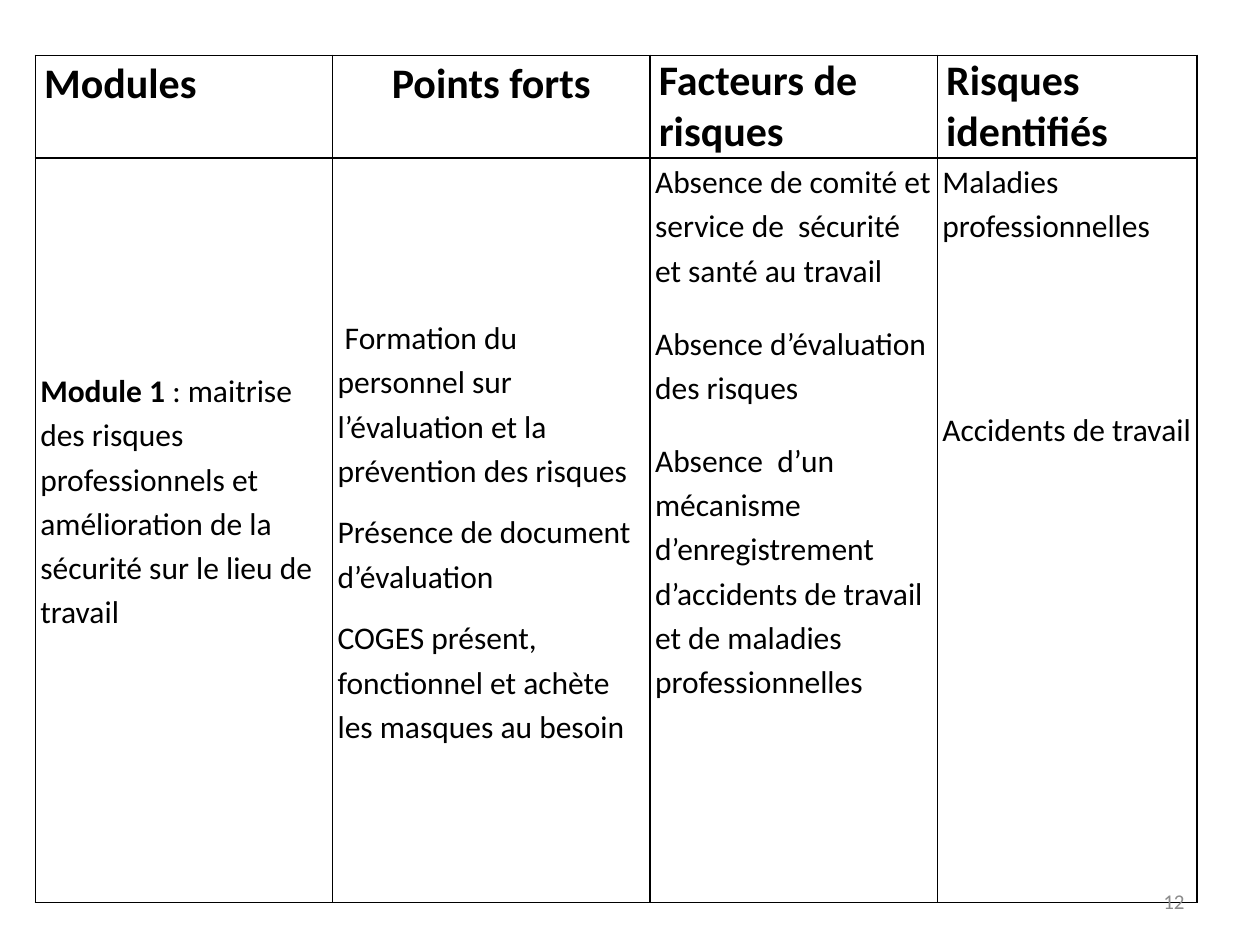
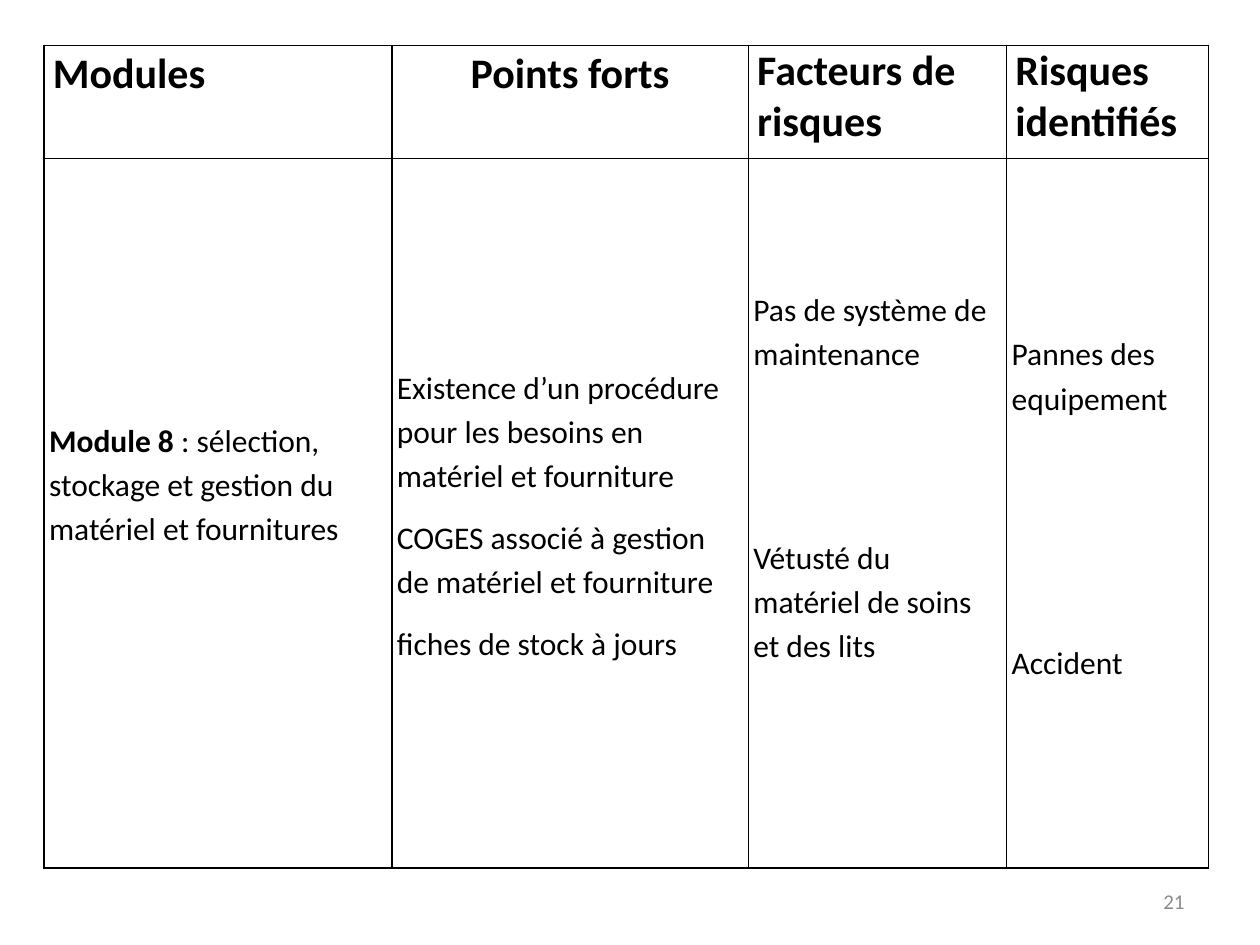
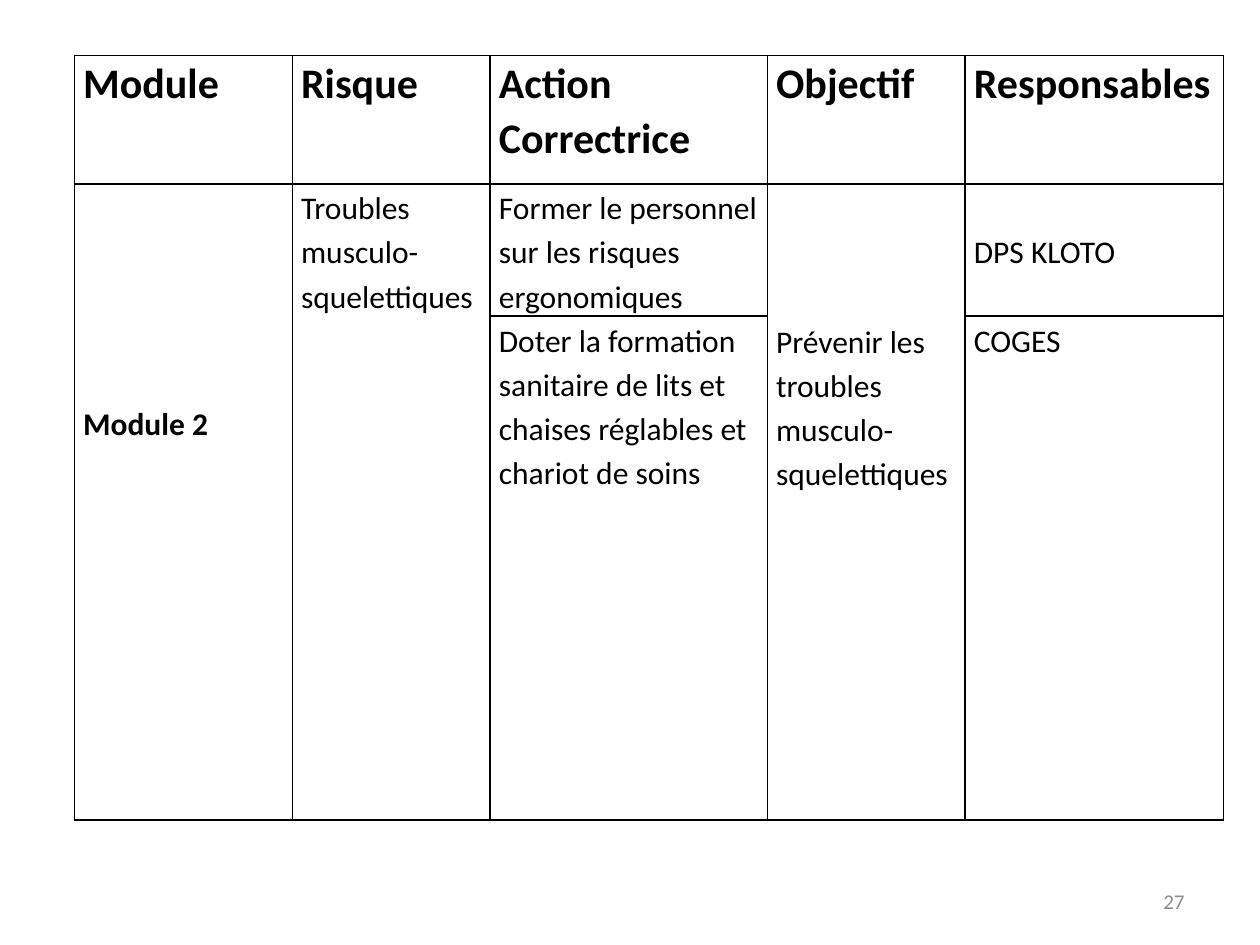
from dataclasses import dataclass

from lxml import etree
from pptx import Presentation
from pptx.dml.color import RGBColor
from pptx.enum.text import MSO_ANCHOR, PP_ALIGN
from pptx.oxml.ns import qn
from pptx.util import Inches, Pt

TOP, MIDDLE = MSO_ANCHOR.TOP, MSO_ANCHOR.MIDDLE
LEFT, CENTER, RIGHT = PP_ALIGN.LEFT, PP_ALIGN.CENTER, PP_ALIGN.RIGHT


@dataclass(frozen=True)
class Theme:
    font: str = "Calibri"
    ink: str = "000000"
    muted: str = "8C8C8C"
    head_size: int = 24
    body_size: int = 18
    number_size: int = 12
    head_spacing: float = 1.07
    body_spacing: float = 1.15
    border: float = 1
    wide_inset: float = 0.07
    narrow_inset: float = 0.04


THEME = Theme()


@dataclass(frozen=True)
class Entry:
    """Content of one table cell; lead is the bold opening words."""
    paras: tuple = ()
    lead: str = ""
    gap: float = 10         # points between paragraphs
    top: float = 0          # inches above the text
    bottom: float = 0       # inches below the text
    anchor: int = TOP
    align: int = LEFT
    spacing: float = THEME.body_spacing
    size: int = THEME.body_size
    bold: bool = False
    inset: float = THEME.narrow_inset


def header(text, align=LEFT, spacing=THEME.head_spacing):
    return Entry((text,), align=align, spacing=spacing, bold=True,
                 size=THEME.head_size, inset=THEME.wide_inset)


def module(lead, text):
    return Entry((text,), lead=lead, anchor=MIDDLE, bottom=0.49)


def action(text, top=0, bold=False):
    return Entry((text,), top=top, bold=bold, inset=THEME.wide_inset)


RISK_HEADERS = [header("Modules"), header("Points forts", CENTER),
                header("Facteurs de risques", spacing=1),
                header("Risques identifiés", spacing=1)]
ACTION_HEADERS = [header(t) for t in ("Module", "Risque", "Action Correctrice",
                                      "Objectif", "Responsables")]


def set_font(font, size, color, bold=False):
    font.name, font.size, font.bold = THEME.font, Pt(size), bold
    font.color.rgb = RGBColor.from_string(color)


def set_borders(cell):
    tc_pr = cell._tc.get_or_add_tcPr()
    for side in ("lnL", "lnR", "lnT", "lnB"):
        ln = etree.SubElement(tc_pr, qn(f"a:{side}"), w=str(Pt(THEME.border)))
        fill = etree.SubElement(ln, qn("a:solidFill"))
        etree.SubElement(fill, qn("a:srgbClr"), val=THEME.ink)


def fill_cell(cell, entry):
    cell.margin_left = cell.margin_right = Inches(entry.inset)
    cell.margin_top, cell.margin_bottom = Inches(entry.top), Inches(entry.bottom)
    cell.vertical_anchor = entry.anchor
    tf = cell.text_frame
    for i, text in enumerate(entry.paras):
        p = tf.add_paragraph() if i else tf.paragraphs[0]
        p.alignment, p.line_spacing = entry.align, entry.spacing
        if i < len(entry.paras) - 1:
            p.space_after = Pt(entry.gap)
        set_font(p.font, entry.size, THEME.ink, entry.bold)
        if entry.lead and i == 0:
            r = p.add_run()
            r.text = entry.lead
            r.font.bold = True
        p.add_run().text = text


def add_grid(s, left, top, cols, heights, rows, merged_cols=()):
    """Bordered table; merged_cols join the last two rows."""
    table = s.shapes.add_table(len(rows), len(cols), Inches(left), Inches(top),
                               Inches(sum(cols)), Inches(sum(heights))).table
    table.first_row = table.horz_banding = False
    for column, width in zip(table.columns, cols):
        column.width = Inches(width)
    for row, height in zip(table.rows, heights):
        row.height = Inches(height)
    for r, entries in enumerate(rows):
        for c, entry in enumerate(entries):
            cell = table.cell(r, c)
            set_borders(cell)
            cell.fill.background()
            if entry:
                fill_cell(cell, entry)
    for c in merged_cols:
        table.cell(len(rows) - 2, c).merge(table.cell(len(rows) - 1, c))


def add_number(s, number):
    tf = s.shapes.add_textbox(Inches(7.17), Inches(6.95),
                              Inches(2.33), Inches(0.4)).text_frame
    tf.word_wrap, tf.vertical_anchor = True, MIDDLE
    p = tf.paragraphs[0]
    p.text, p.alignment = str(number), RIGHT
    set_font(p.font, THEME.number_size, THEME.muted)


def add_table_slide(prs, number, *grid, **options):
    s = prs.slides.add_slide(prs.slide_layouts[6])
    add_grid(s, *grid, **options)
    add_number(s, number)


def main():
    prs = Presentation()
    prs.slide_width, prs.slide_height = Inches(10), Inches(7.5)

    # Module 1: occupational risks
    add_table_slide(prs, 12, 0.28, 0.44, (2.36, 2.52, 2.28, 2.06), (0.81, 5.91), [
        RISK_HEADERS,
        [module("Module 1", " : maitrise des risques professionnels et "
                "amélioration de la sécurité sur le lieu de travail"),
         Entry((" Formation du personnel sur l’évaluation et la prévention des risques",
                "Présence de document d’évaluation",
                "COGES présent, fonctionnel et achète les masques au besoin"),
               anchor=MIDDLE),
         Entry(("Absence de comité et service de  sécurité et santé au travail",
                "Absence d’évaluation des risques",
                "Absence  d’un mécanisme d’enregistrement d’accidents de travail "
                "et de maladies professionnelles"), gap=16.5),
         Entry(("Maladies professionnelles", "Accidents de travail"), gap=91)],
    ])

    # Module 8: equipment and supplies
    add_table_slide(prs, 21, 0.35, 0.36, (2.76, 2.83, 2.05, 1.6), (0.9, 5.63), [
        RISK_HEADERS,
        [module("Module 8 ", ": sélection, stockage et gestion du matériel et fournitures"),
         Entry(("Existence d’un procédure pour les besoins en matériel et fourniture",
                "COGES associé à gestion de matériel et fourniture",
                "fiches de stock à jours"), anchor=MIDDLE),
         Entry(("Pas de système de maintenance",
                "Vétusté du matériel de soins et des lits"), gap=91, top=1.01),
         Entry(("Pannes des equipement", "Accident"), gap=126, top=1.36)],
    ])

    # Module 2: corrective actions
    add_table_slide(prs, 27, 0.59, 0.44, (1.73, 1.57, 2.2, 1.57, 2.05), (1.02, 1.05, 4), [
        ACTION_HEADERS,
        [action("Module 2", top=1.71, bold=True),
         action("Troubles musculo-squelettiques"),
         action("Former le personnel sur les risques ergonomiques"),
         action("Prévenir les troubles musculo-squelettiques", top=1.06),
         action("DPS KLOTO", top=0.35)],
        [None, None,
         action("Doter la formation sanitaire de lits et chaises réglables "
                "et chariot de soins"),
         None, action("COGES")],
    ], merged_cols=(0, 1, 3))

    prs.save("out.pptx")


if __name__ == "__main__":
    main()
